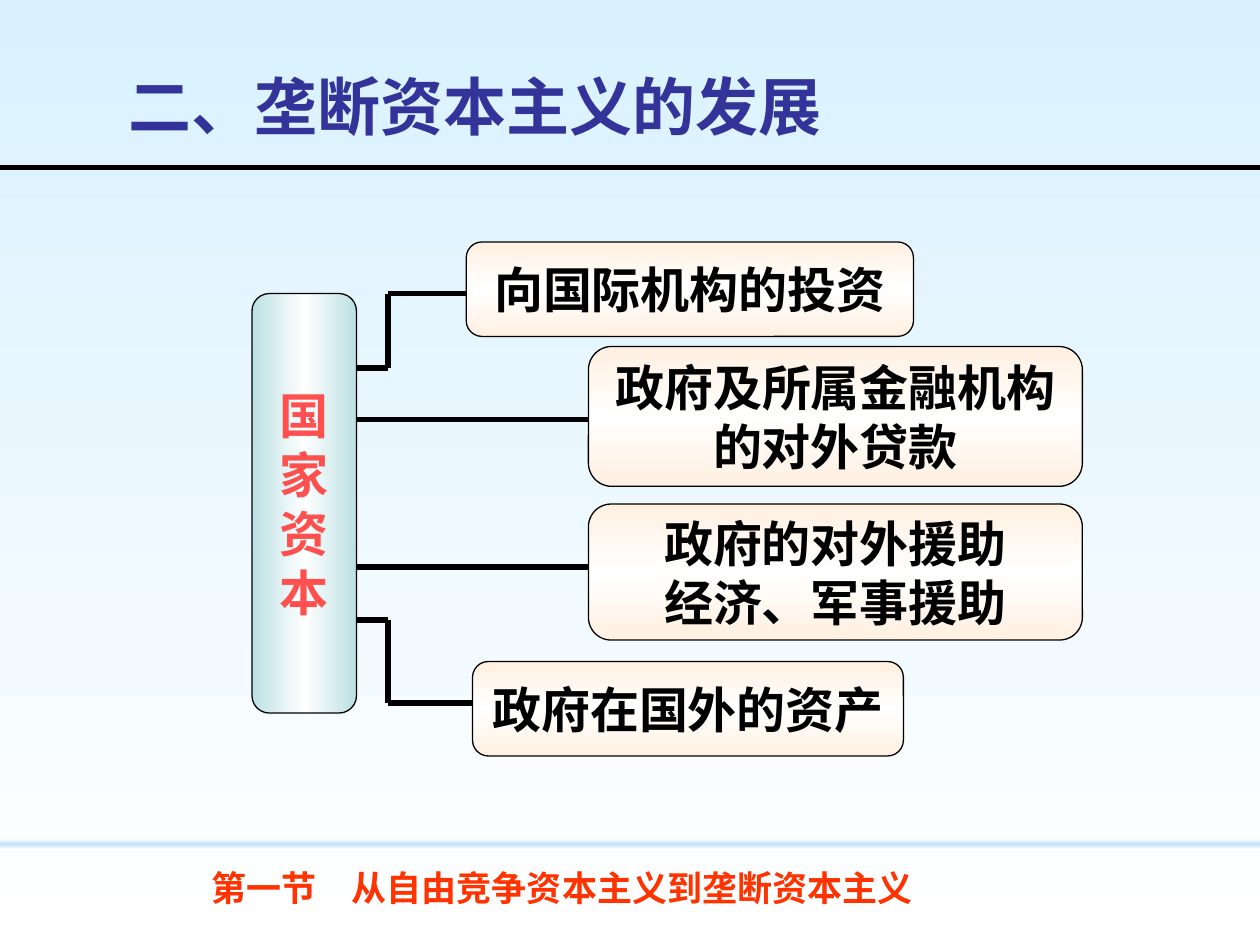
from dataclasses import dataclass
from itertools import pairwise

from lxml.etree import SubElement
from pptx import Presentation
from pptx.dml.color import RGBColor as RGB
from pptx.enum.shapes import MSO_CONNECTOR as CONN, MSO_SHAPE as SHAPE
from pptx.enum.text import MSO_ANCHOR as ANCHOR, PP_ALIGN as ALIGN
from pptx.oxml.ns import qn
from pptx.util import Inches, Pt


@dataclass(frozen=True)
class Theme:
    font: str = "Arial"
    sky: tuple = ("D9F1FF", "FFFFFF")
    band: tuple = ("FFFFFF", "C1E0FF", "FFFFFF")
    teal: tuple = ("BBE0E3", "FFFFFF", "BBE0E3")
    cream: tuple = ("FFF0E1", "FFFFFF", "FFF0E1")
    ink: str = "000000"
    title: str = "333399"
    section: str = "FF3300"
    root: str = "FF5050"
    title_size: int = 36
    section_size: int = 20
    box_size: int = 28
    outline: float = 0.75
    rule: int = 3


class Builder:
    def __init__(self, slide, theme):
        self.slide = slide
        self.theme = theme

    def gradient(self, fill, element, colors, angle=270):
        fill.gradient()
        fill.gradient_angle = angle
        stops = next(element.iter(qn("a:gsLst")))
        for gs in list(stops):
            stops.remove(gs)
        for i, color in enumerate(colors):
            pos = 100000 * i // (len(colors) - 1)
            gs = SubElement(stops, qn("a:gs"), pos=str(pos))
            SubElement(gs, qn("a:srgbClr"), val=color)

    def background(self, colors):
        self.gradient(self.slide.background.fill, self.slide.element, colors)

    def set_text(self, sp, lines, size, color, align, wrap):
        tf = sp.text_frame
        tf.word_wrap = wrap
        tf.vertical_anchor = ANCHOR.MIDDLE
        tf.text = "\n".join(lines)
        for p in tf.paragraphs:
            p.alignment = align
            p.font.name = self.theme.font
            p.font.size = Pt(size)
            p.font.bold = True
            p.font.color.rgb = RGB.from_string(color)

    def text(self, at, content, size, color):
        sp = self.slide.shapes.add_textbox(*map(Inches, at))
        self.set_text(sp, [content], size, color, ALIGN.LEFT, True)

    def shape(self, kind, at, colors, angle=270):
        sp = self.slide.shapes.add_shape(kind, *map(Inches, at))
        sp.shadow.inherit = False
        self.gradient(sp.fill, sp.element, colors, angle)
        return sp

    def band(self, at):
        self.shape(SHAPE.RECTANGLE, at, self.theme.band).line.fill.background()

    def box(self, at, lines, colors, color, angle=270):
        sp = self.shape(SHAPE.ROUNDED_RECTANGLE, at, colors, angle)
        sp.adjustments[0] = 0.167
        sp.line.color.rgb = RGB.from_string(self.theme.ink)
        sp.line.width = Pt(self.theme.outline)
        self.set_text(sp, lines, self.theme.box_size, color, ALIGN.CENTER, False)

    def route(self, *points):
        for start, end in pairwise(points):
            c = self.slide.shapes.add_connector(
                CONN.STRAIGHT, *map(Inches, start + end))
            c.line.color.rgb = RGB.from_string(self.theme.ink)
            c.line.width = Pt(self.theme.rule)
            SubElement(c.element.spPr, qn("a:effectLst"))


def main():
    prs = Presentation()
    prs.slide_width, prs.slide_height = Inches(10), Inches(7.5)
    t = Theme()
    s = Builder(prs.slides.add_slide(prs.slide_layouts[6]), t)

    s.background(t.sky)
    s.text((0.92, 0.42, 8.5, 0.83), "二、垄断资本主义的发展", t.title_size, t.title)
    s.band((0, 6.66, 10, 0.08))
    s.text((1.58, 6.83, 8.98, 0.42), "第一节　从自由竞争资本主义到垄断资本主义",
           t.section_size, t.section)
    s.box((2, 2.33, 0.83, 3.33), "国家资本", t.teal, t.root, angle=0)

    root_edge = 2.83
    branches = [
        ((4.67, 4, 3.92, 1.08), ["政府的对外援助", "经济、军事援助"], 4.5, 4.5),
        ((4.67, 2.75, 3.92, 1.11), ["政府及所属金融机构", "的对外贷款"], 3.33, 3.33),
        ((3.75, 5.25, 3.42, 0.75), ["政府在国外的资产"], 4.92, 5.58),
        ((3.7, 1.92, 3.55, 0.75), ["向国际机构的投资"], 2.92, 2.33),
    ]
    elbow = 3.08
    for at, lines, start, end in branches:
        s.box(at, lines, t.cream, t.ink)
        bends = [] if start == end else [(elbow, start), (elbow, end)]
        s.route((root_edge, start), *bends, (at[0], end))
    s.route((0, 1.33), (10, 1.33))

    prs.save("out.pptx")


if __name__ == "__main__":
    main()
